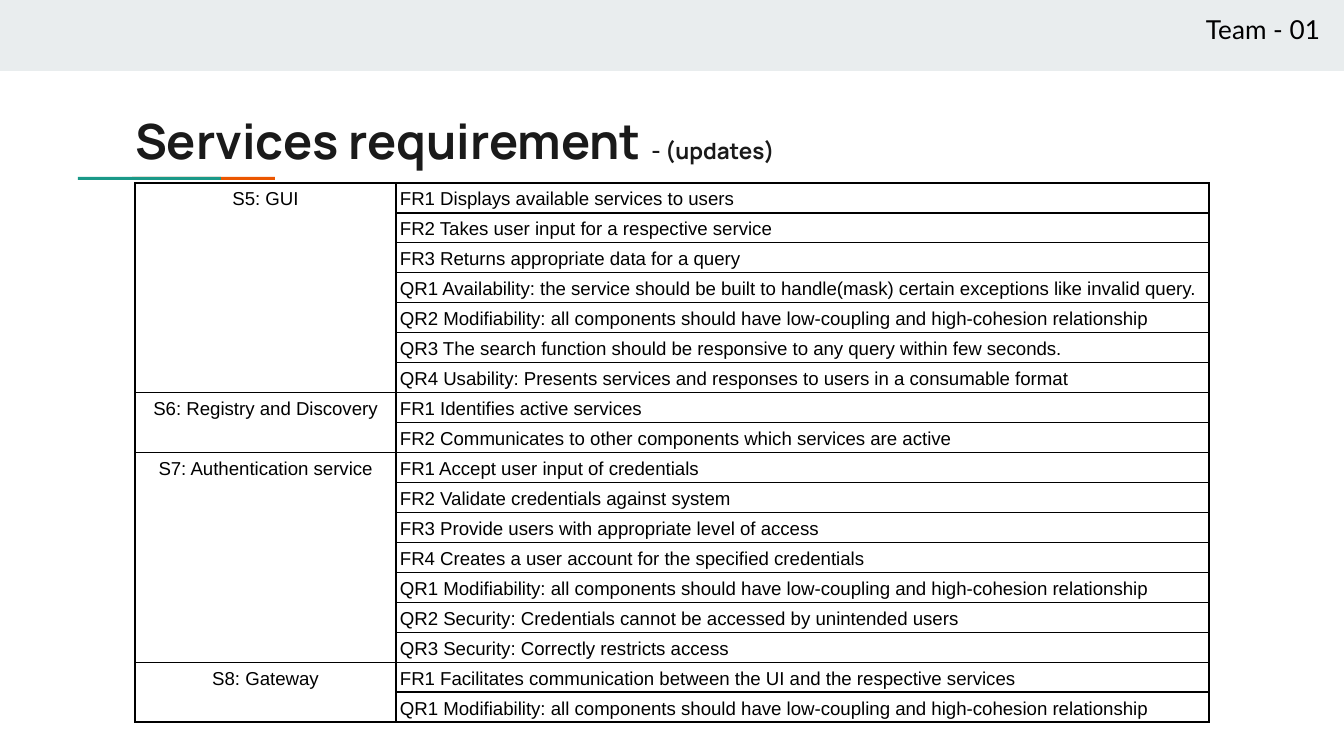
"""Build the services requirement slide: header band, title, accent rule and table."""
from lxml import etree
from pptx import Presentation
from pptx.dml.color import RGBColor
from pptx.enum import shapes, text
from pptx.oxml import ns
from pptx import util as u

SIZE = (1344, 756)
COLORS = {"band": "E9EDEE", "orange": "EB5600", "teal": "1A9988",
          "title": "1A1A1A", "ink": "000000"}
BARS = [("band", (0, 0, 1344, 71)),
        ("orange", (132, 177, 143, 3)),
        ("teal", (78, 177, 143, 3))]
TITLE = [("Services requirement ", 26), ("- (updates)", 12)]
TEAM = " Team - 01"
COUPLING = "Modifiability: all components should have low-coupling and high-cohesion relationship"
GROUPS = [
    ("S5: GUI", [
        "FR1 Displays available services to users",
        "FR2 Takes user input for a respective service",
        "FR3 Returns appropriate data for a query",
        "QR1 Availability: the service should be built to handle(mask) certain exceptions like invalid query.",
        "QR2 " + COUPLING,
        "QR3 The search function should be responsive to any query within few seconds.",
        "QR4 Usability: Presents services and responses to users in a consumable format"]),
    ("S6: Registry and Discovery", [
        "FR1 Identifies active services",
        "FR2 Communicates to other components which services are active"]),
    ("S7: Authentication service", [
        "FR1 Accept user input of credentials",
        "FR2 Validate credentials against system",
        "FR3 Provide users with appropriate level of access",
        "FR4 Creates a user account for the specified credentials",
        "QR1 " + COUPLING,
        "QR2 Security: Credentials cannot be accessed by unintended users",
        "QR3 Security: Correctly restricts access"]),
    ("S8: Gateway", [
        "FR1 Facilitates communication between the UI and the respective services",
        "QR1 " + COUPLING]),
]
COLS = (261, 813)
TABLE = (135, 183, sum(COLS), 532)
SIDES = ("left", "top", "right", "bottom")


def px(n):
    return round(n * 914400 / 134.4)


def box(vals):
    return [px(v) for v in vals]


def put(obj, fmt):
    for key, val in fmt.items():
        setattr(obj, key, val)


def write(para, words, size, face, color, bold=False):
    run = para.add_run()
    run.text = words
    put(run.font, {"size": u.Pt(size), "name": face, "bold": bold})
    run.font.color.rgb = RGBColor.from_string(COLORS[color])


def frame(item, pad):
    put(item.text_frame, {"word_wrap": True, "vertical_anchor": text.MSO_ANCHOR.TOP,
                          "auto_size": text.MSO_AUTO_SIZE.NONE,
                          **{"margin_" + s: px(pad) for s in SIDES}})
    return item.text_frame.paragraphs[0]


def edge(cell):
    props = cell._tc.get_or_add_tcPr()
    for i, tag in enumerate(("a:lnL", "a:lnR", "a:lnT", "a:lnB")):
        line = etree.Element(ns.qn(tag), w=str(u.Pt(0.75)))
        fill = etree.SubElement(line, ns.qn("a:solidFill"))
        etree.SubElement(fill, ns.qn("a:srgbClr"), val=COLORS["ink"])
        props.insert(i, line)


def fill_cell(cell, words, align, anchor):
    put(cell, {"vertical_anchor": anchor, "margin_left": px(4), "margin_right": px(4),
               "margin_top": px(3), "margin_bottom": px(3)})
    para = cell.text_frame.paragraphs[0]
    put(para, {"alignment": align, "line_spacing": 1.15})
    write(para, words, 10, "Arial", "ink")


def add_grid(slide):
    count = sum(len(needs) for _, needs in GROUPS)
    grid = slide.shapes.add_table(count, len(COLS), *box(TABLE)).table
    put(grid, {"first_row": False, "horz_banding": False})
    for col, width in zip(grid.columns, COLS):
        col.width = px(width)
    for row in grid.rows:
        row.height = px(TABLE[3]) // count
        for cell in row.cells:
            cell.fill.background()
            edge(cell)
    top = 0
    for name, needs in GROUPS:
        head = grid.cell(top, 0)
        head.merge(grid.cell(top + len(needs) - 1, 0))
        fill_cell(head, name, text.PP_ALIGN.CENTER, text.MSO_ANCHOR.TOP)
        for i, need in enumerate(needs, top):
            fill_cell(grid.cell(i, 1), need, text.PP_ALIGN.LEFT, text.MSO_ANCHOR.BOTTOM)
        top += len(needs)


def main():
    deck = Presentation()
    put(deck, dict(zip(("slide_width", "slide_height"), box(SIZE))))
    slide = deck.slides.add_slide(deck.slide_layouts[5])
    for color, spot in BARS:
        bar = slide.shapes.add_shape(shapes.MSO_SHAPE.RECTANGLE, *box(spot))
        bar.shadow.inherit = False
        bar.fill.solid()
        bar.fill.fore_color.rgb = RGBColor.from_string(COLORS[color])
        bar.line.fill.background()
    title = slide.shapes.title
    put(title, dict(zip(("left", "top", "width", "height"), box((122, 98, 1130, 79)))))
    para = frame(title, 13)
    para.alignment = text.PP_ALIGN.LEFT
    for words, size in TITLE:
        write(para, words, size, "Manrope", "title", True)
    team = slide.shapes.add_textbox(*box((1187, 0, 157, 67)))
    write(frame(team, 13), TEAM, 14, "Lato", "ink")
    add_grid(slide)
    deck.save("out.pptx")


if __name__ == "__main__":
    main()
